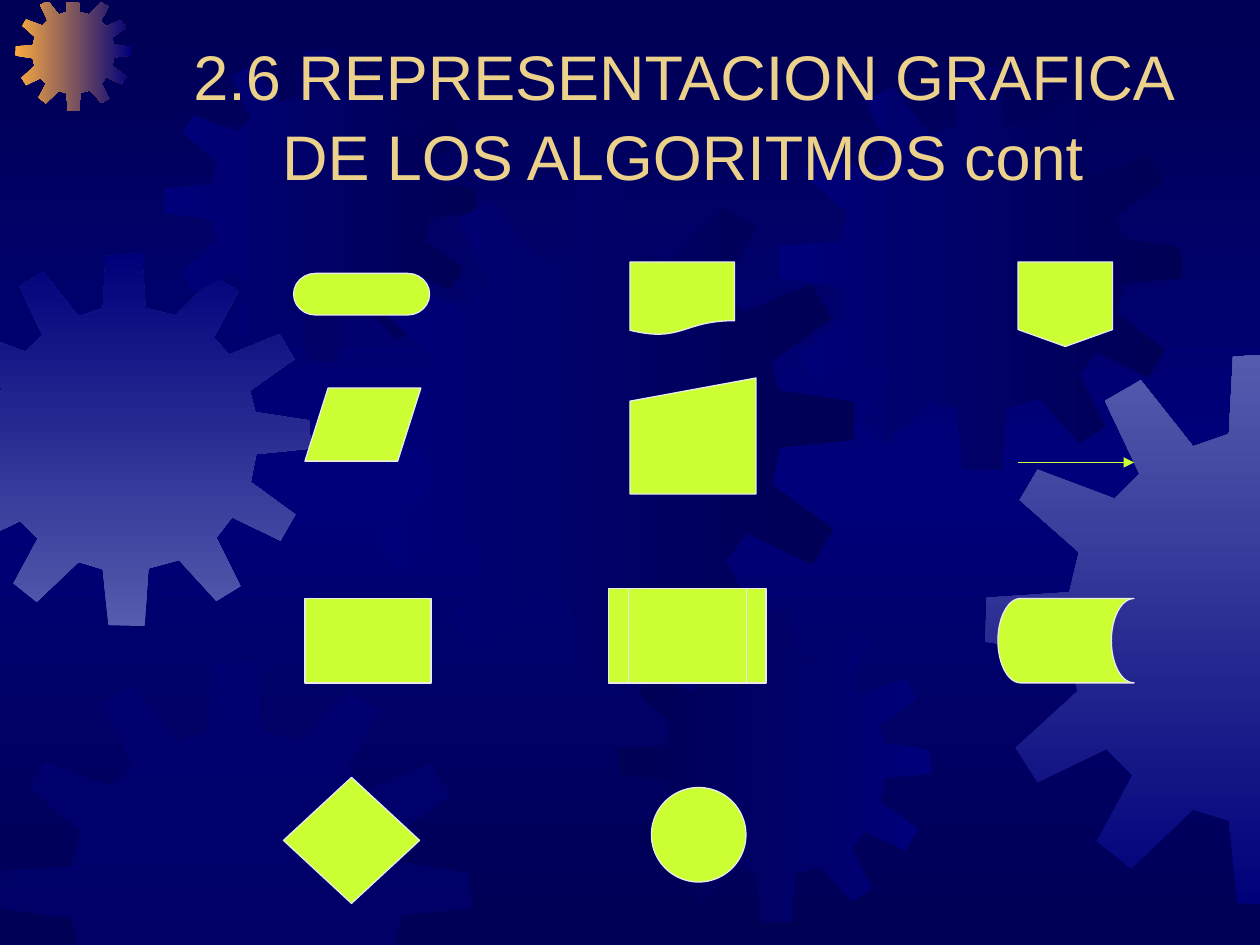
from copy import deepcopy
from dataclasses import dataclass

from lxml.etree import SubElement
from pptx import Presentation
from pptx.dml.color import RGBColor
from pptx.enum.shapes import MSO_CONNECTOR, MSO_SHAPE
from pptx.enum.text import MSO_ANCHOR, MSO_AUTO_SIZE, PP_ALIGN
from pptx.oxml.ns import qn
from pptx.slide import Slide
from pptx.util import Inches, Pt

COLORS = {
    "night": "000054",
    "navy": "00007A",
    "haze": "555BAD",
    "orange": "FCAB40",
    "title": "EBD189",
    "symbol": "CCFF33",
    "outline": "EAEAEA",
}
SLIDE_WIDTH, SLIDE_HEIGHT = 10, 7.5
TOP_EDGE = 0.02

# One gear wheel with twelve teeth, drawn in a square of GEAR_UNIT
GEAR_UNIT = 401
GEAR_OUTLINE = [
    (255, 67), (223, 59), (219, 0), (180, 3), (177, 59), (151, 68),
    (113, 20), (87, 35), (112, 88), (94, 106), (38, 85), (25, 107),
    (68, 145), (61, 174), (1, 178), (0, 210), (61, 219), (67, 246),
    (22, 287), (38, 312), (88, 288), (107, 307), (81, 355), (106, 375),
    (151, 332), (177, 340), (183, 400), (222, 401), (226, 339), (259, 330),
    (299, 374), (325, 358), (299, 306), (316, 284), (368, 309), (384, 281),
    (336, 246), (342, 216), (401, 210), (400, 180), (341, 171), (335, 148),
    (383, 114), (367, 87), (313, 109), (296, 91), (323, 41), (297, 25),
]


@dataclass
class Gear:
    left: float
    top: float
    size: float
    start: str
    end: str
    angle: int = 0
    opacity: int = 100


@dataclass
class Symbol:
    kind: MSO_SHAPE
    left: float
    top: float
    width: float
    height: float


GEARS = [
    Gear(-0.49, 2.01, 2.96, "haze", "navy", 90),
    Gear(0.12, -0.04, 0.92, "orange", "navy"),
    Gear(1.3, 0.39, 2.48, "navy", "night"),
    Gear(2.77, 1.39, 4.01, "navy", "night"),
    Gear(0, 5.25, 3.74, "navy", "navy", opacity=50),
    Gear(4.91, 4.84, 2.48, "night", "navy"),
    Gear(6.18, 0.53, 3.2, "navy", "night"),
    Gear(7.82, 2.8, 4.38, "navy", "haze", 90),
]
# Gear 3 runs from dark on the right to light on the left
SYMBOLS = [
    Symbol(MSO_SHAPE.FLOWCHART_TERMINATOR, 2.33, 2.17, 1.08, 0.33),
    Symbol(MSO_SHAPE.FLOWCHART_DATA, 2.42, 3.08, 0.92, 0.58),
    Symbol(MSO_SHAPE.FLOWCHART_PROCESS, 2.42, 4.75, 1, 0.67),
    Symbol(MSO_SHAPE.FLOWCHART_DECISION, 2.25, 6.17, 1.08, 1),
    Symbol(MSO_SHAPE.FLOWCHART_DOCUMENT, 5, 2.08, 0.83, 0.58),
    Symbol(MSO_SHAPE.FLOWCHART_MANUAL_INPUT, 5, 3, 1, 0.92),
    Symbol(MSO_SHAPE.FLOWCHART_PREDEFINED_PROCESS, 4.83, 4.67, 1.25, 0.75),
    Symbol(MSO_SHAPE.FLOWCHART_CONNECTOR, 5.17, 6.25, 0.75, 0.75),
    Symbol(MSO_SHAPE.FLOWCHART_OFFPAGE_CONNECTOR, 8.08, 2.08, 0.75, 0.67),
    Symbol(MSO_SHAPE.FLOWCHART_STORED_DATA, 7.92, 4.75, 1.08, 0.67),
]


def color(name: str) -> RGBColor:
    return RGBColor.from_string(COLORS[name])


def clip(points: list, axis: int, limit: float, side: int) -> list:
    """Keep the part of a polygon above (side 1) or below (side -1) the limit."""
    kept = []
    for before, point in zip(points[-1:] + points[:-1], points):
        was_inside = (before[axis] - limit) * side >= 0
        is_inside = (point[axis] - limit) * side >= 0
        if was_inside != is_inside:
            share = (limit - before[axis]) / (point[axis] - before[axis])
            kept.append(tuple(a + share * (b - a) for a, b in zip(before, point)))
        if is_inside:
            kept.append(point)
    return kept


def paint_gradient(fill, names: tuple, angle: int) -> None:
    fill.gradient()
    fill.gradient_angle = angle
    for position, (stop, name) in enumerate(zip(fill.gradient_stops, names)):
        stop.color.rgb = color(name)
        stop.position = position


def paint_background(slide: Slide) -> None:
    fill = slide.background.fill
    paint_gradient(fill, ("night", "navy"), 270)
    fill.gradient_stops[1].position = 0.5
    stops = slide.element.find(".//" + qn("a:gsLst"))
    stops.append(deepcopy(stops[0]))
    fill.gradient_stops[2].position = 1


def add_gear(slide: Slide, gear: Gear) -> None:
    scale = gear.size / GEAR_UNIT
    points = [(gear.left + x * scale, gear.top + y * scale) for x, y in GEAR_OUTLINE]
    for axis, limit, side in ((0, 0, 1), (0, SLIDE_WIDTH, -1),
                              (1, TOP_EDGE, 1), (1, SLIDE_HEIGHT, -1)):
        points = clip(points, axis, limit, side)
    corners = [(Inches(x), Inches(y)) for x, y in points]
    builder = slide.shapes.build_freeform(*corners[0])
    builder.add_line_segments(corners[1:], close=True)
    shape = builder.convert_to_shape()
    shape.shadow.inherit = False
    shape.line.fill.background()
    if gear.start != gear.end:
        paint_gradient(shape.fill, (gear.start, gear.end), gear.angle)
        return
    shape.fill.solid()
    shape.fill.fore_color.rgb = color(gear.start)
    rgb = shape.element.spPr.find(".//" + qn("a:srgbClr"))
    SubElement(rgb, qn("a:alpha"), val=str(gear.opacity * 1000))


def add_title(slide: Slide, text: str) -> None:
    title = slide.shapes.title
    title.left, title.top = Inches(1.17), Inches(0.33)
    title.width, title.height = Inches(8.5), Inches(1.25)
    frame = title.text_frame
    frame.text = text
    frame.word_wrap = True
    frame.auto_size = MSO_AUTO_SIZE.NONE
    frame.vertical_anchor = MSO_ANCHOR.BOTTOM
    paragraph = frame.paragraphs[0]
    paragraph.alignment = PP_ALIGN.CENTER
    paragraph.line_spacing = 1.05
    font = paragraph.runs[0].font
    font.name, font.size = "Arial", Pt(36)
    font.color.rgb = color("title")
    # Bring the title in front of the gears
    slide.shapes.element.append(title.element)


def add_symbol(slide: Slide, symbol: Symbol) -> None:
    box = (symbol.left, symbol.top, symbol.width, symbol.height)
    shape = slide.shapes.add_shape(symbol.kind, *map(Inches, box))
    shape.shadow.inherit = False
    shape.fill.solid()
    shape.fill.fore_color.rgb = color("symbol")
    shape.line.color.rgb = color("outline")
    shape.line.width = Pt(0.75)


def add_flow_arrow(slide: Slide, left: float, right: float, y: float) -> None:
    arrow = slide.shapes.add_connector(
        MSO_CONNECTOR.STRAIGHT, Inches(left), Inches(y), Inches(right), Inches(y))
    arrow.line.color.rgb = color("symbol")
    arrow.line.width = Pt(0.75)
    SubElement(arrow.line._get_or_add_ln(), qn("a:tailEnd"), type="triangle")
    SubElement(arrow.element.spPr, qn("a:effectLst"))


def main() -> None:
    presentation = Presentation()
    presentation.slide_width = Inches(SLIDE_WIDTH)
    presentation.slide_height = Inches(SLIDE_HEIGHT)
    slide = presentation.slides.add_slide(presentation.slide_layouts[5])
    paint_background(slide)
    for gear in GEARS:
        add_gear(slide, gear)
    add_title(slide, "2.6 REPRESENTACION GRAFICA DE LOS ALGORITMOS cont")
    for symbol in SYMBOLS:
        add_symbol(slide, symbol)
    add_flow_arrow(slide, 8.08, 9, 3.67)
    presentation.save("out.pptx")


if __name__ == "__main__":
    main()
